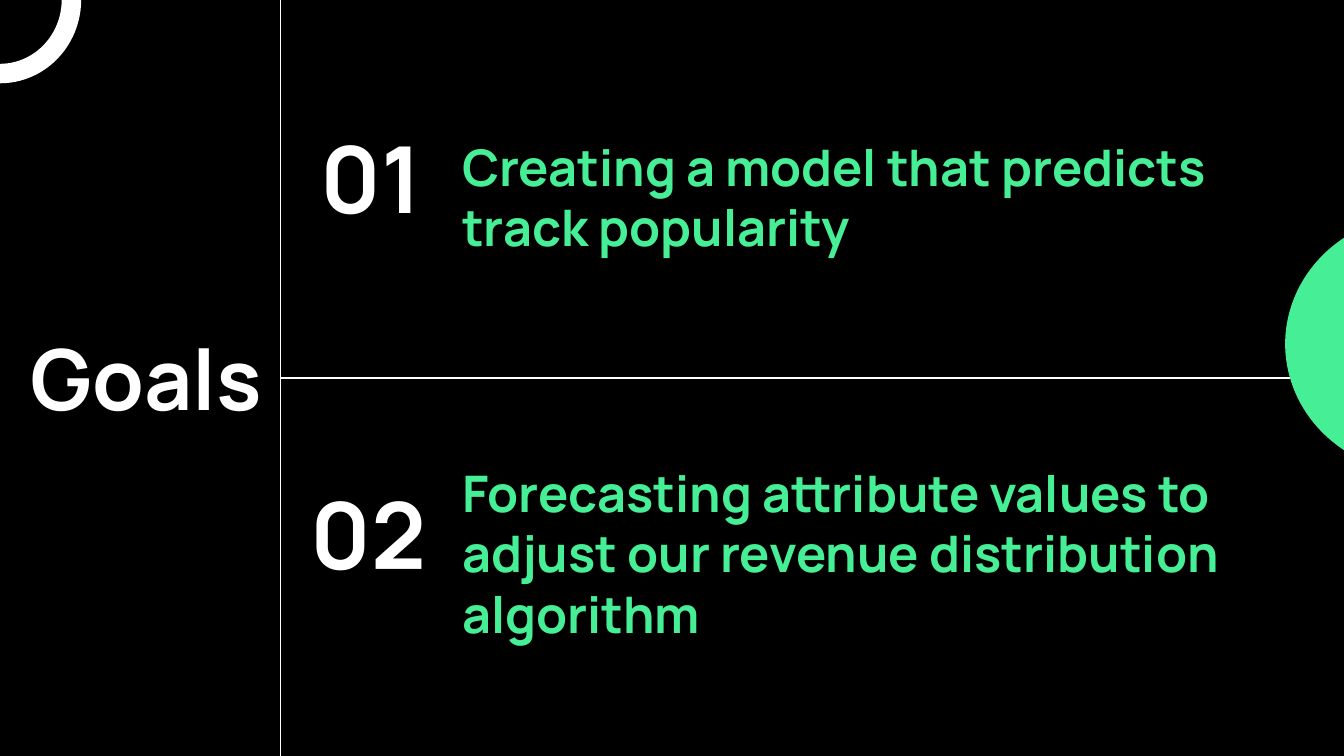
import pptx
import pptx.dml.color
import pptx.enum.shapes
import pptx.enum.text
import pptx.oxml.ns
import pptx.util
import lxml.etree

Pt = pptx.util.Pt
SHAPES = pptx.enum.shapes.MSO_SHAPE
WIDTH, HEIGHT = 960, 540
BLACK, WHITE, GREEN = "000000", "FFFFFF", "46EF96"


def color(hex_string):
    return pptx.dml.color.RGBColor.from_string(hex_string)


class SlideBuilder:
    """Holds the style and the current slide; all lengths are in points."""

    font_name = "Manrope"
    line_width = 0.75

    def __init__(self, slide, background):
        self.slide = slide
        fill = slide.background.fill
        fill.solid()
        fill.fore_color.rgb = color(background)

    def text(self, text, left, top, width, height, size, hex_color,
             top_inset=0, line_spacing=None, grow=False):
        shape = self.slide.shapes.add_textbox(Pt(left), Pt(top), Pt(width), Pt(height))
        frame = shape.text_frame
        frame.word_wrap = True
        frame.margin_top = Pt(top_inset)
        if grow:
            frame.auto_size = pptx.enum.text.MSO_AUTO_SIZE.SHAPE_TO_FIT_TEXT
        paragraph = frame.paragraphs[0]
        paragraph.text = text
        paragraph.line_spacing = line_spacing
        font = paragraph.font
        font.name, font.size, font.bold = self.font_name, Pt(size), True
        font.color.rgb = color(hex_color)

    def line(self, x1, y1, x2, y2, hex_color):
        connector = self.slide.shapes.add_connector(
            pptx.enum.shapes.MSO_CONNECTOR.STRAIGHT, Pt(x1), Pt(y1), Pt(x2), Pt(y2))
        connector.line.color.rgb = color(hex_color)
        connector.line.width = Pt(self.line_width)
        properties = connector.element.find(pptx.oxml.ns.qn("p:spPr"))
        lxml.etree.SubElement(properties, pptx.oxml.ns.qn("a:effectLst"))

    def shape(self, kind, left, top, width, height, hex_color):
        shape = self.slide.shapes.add_shape(kind, Pt(left), Pt(top), Pt(width), Pt(height))
        shape.shadow.inherit = False
        shape.fill.solid()
        shape.fill.fore_color.rgb = color(hex_color)
        shape.line.fill.background()
        return shape


def main():
    presentation = pptx.Presentation()
    presentation.slide_width, presentation.slide_height = Pt(WIDTH), Pt(HEIGHT)
    builder = SlideBuilder(presentation.slides.add_slide(presentation.slide_layouts[6]), BLACK)

    # Title
    builder.text("Goals", 15, 230, 229, 80, 60, WHITE, top_inset=3.6, grow=True)

    # Goals: number, its left, top and width, then text, its top and width
    goals = [
        ("01", 222, 95.5, 136, "Creating a model that predicts track popularity", 97, 552),
        ("02", 215, 350, 107,
         "Forecasting attribute values to adjust our revenue distribution algorithm", 330, 580),
    ]
    for number, left, number_top, number_width, goal, goal_top, goal_width in goals:
        builder.text(number, left, number_top, number_width, 73.5, 66, WHITE, line_spacing=0.9)
        builder.text(goal, 323, goal_top, goal_width, 209, 36, GREEN)

    # Dividers
    divider_x = 200.3
    builder.line(divider_x, 0, divider_x, HEIGHT, WHITE)
    builder.line(WIDTH, HEIGHT / 2, divider_x, HEIGHT / 2, WHITE)

    # Decorations bleeding off the edges
    ring = builder.shape(SHAPES.DONUT, -58, -60, 116, 119.5, WHITE)
    ring.adjustments[0] = 0.12
    builder.shape(SHAPES.OVAL, 918, 152.7, 199.5, 186, GREEN)

    presentation.save("out.pptx")


if __name__ == "__main__":
    main()
